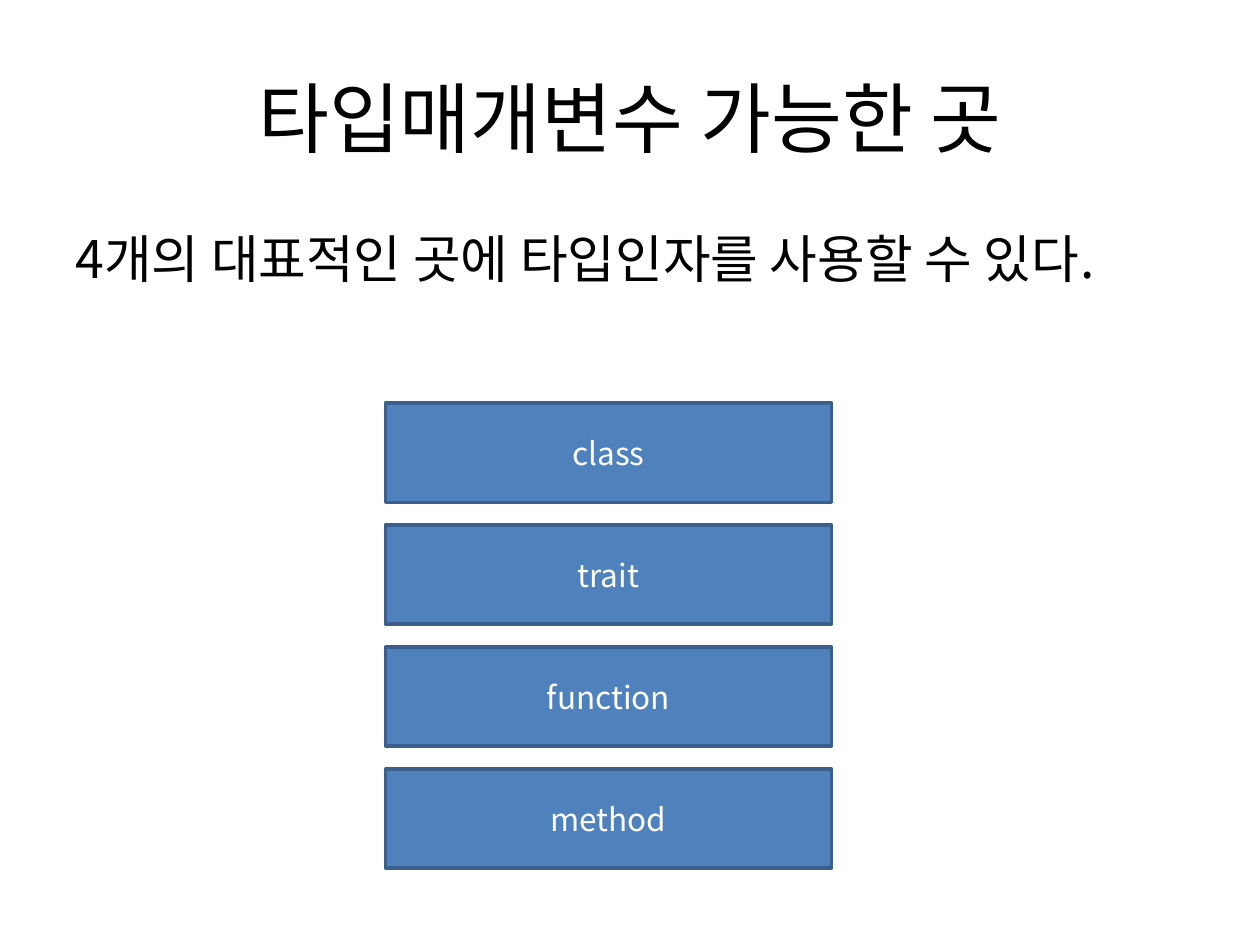
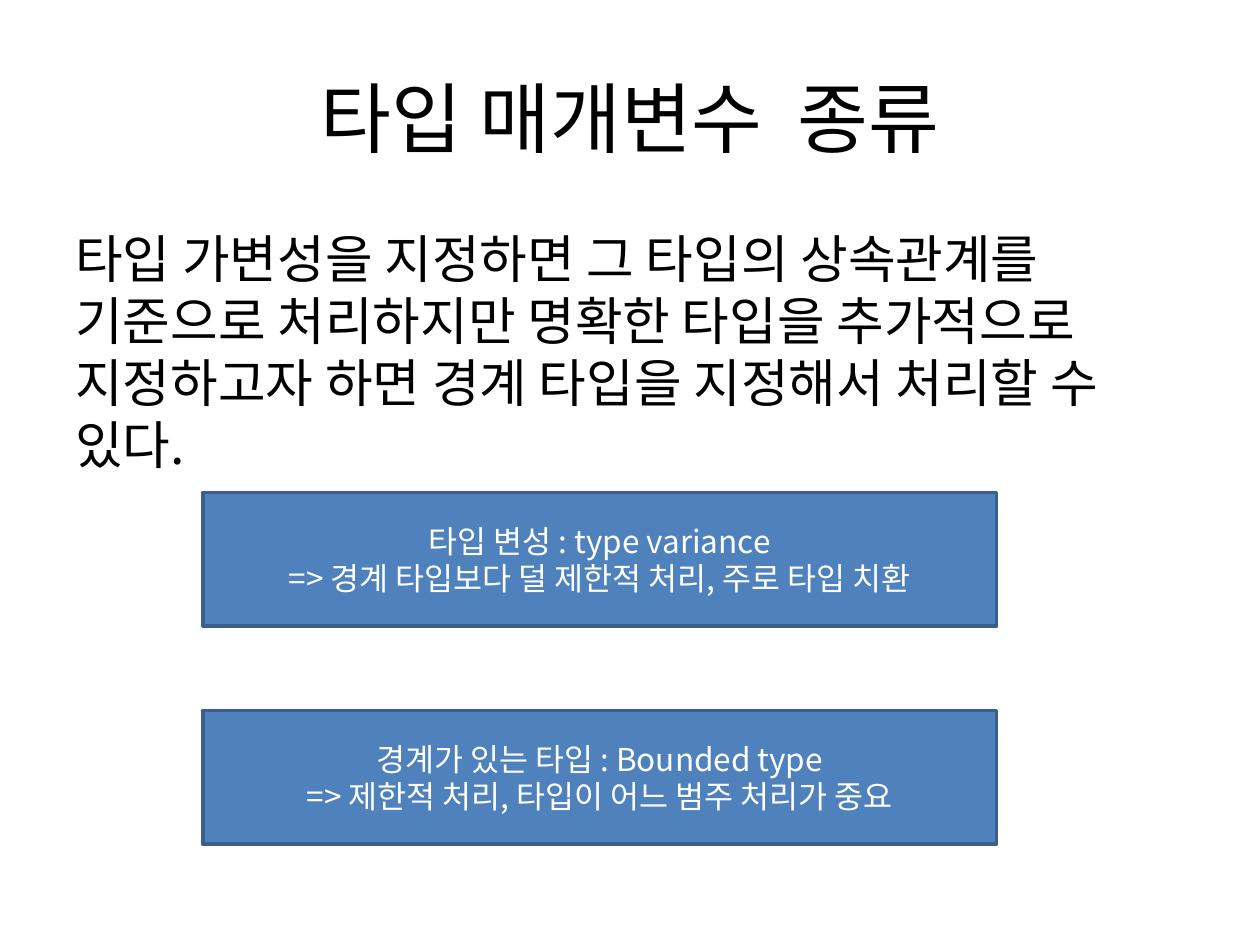
from dataclasses import dataclass

from lxml import etree
from pptx import Presentation
from pptx.dml.color import RGBColor
from pptx.enum.shapes import MSO_SHAPE
from pptx.enum.text import MSO_ANCHOR, PP_ALIGN
from pptx.oxml.ns import qn
from pptx.util import Inches, Pt

RECTANGLE = MSO_SHAPE.RECTANGLE
TOP, MIDDLE = MSO_ANCHOR.TOP, MSO_ANCHOR.MIDDLE
LEFT, CENTER = PP_ALIGN.LEFT, PP_ALIGN.CENTER
TITLE_ONLY = 5
WIDTH, HEIGHT = 10, 7.5


@dataclass(frozen=True)
class Theme:
    """Colours, font and type sizes shared by all slides."""
    font: str = "Noto Sans CJK KR"
    ink: RGBColor = RGBColor(0, 0, 0)
    paper: RGBColor = RGBColor(255, 255, 255)
    fill: RGBColor = RGBColor(0x4F, 0x81, 0xBD)
    edge: RGBColor = RGBColor(0x3A, 0x5F, 0x8C)
    edge_width: float = 2
    title: float = 44
    body: float = 29.6
    label: float = 18


THEME = Theme()
TITLE_BOX = (0.5, 0.3, 9, 1.25)
BODY_LEFT, BODY_TOP, BODY_WIDTH = 0.5, 1.75, 8.83


def set_all(target, values):
    """Set every attribute named in a dict of format values."""
    for name, value in values.items():
        setattr(target, name, value)


def place(shape, box):
    """Move a shape to a box given in inches."""
    names = ("left", "top", "width", "height")
    set_all(shape, dict(zip(names, map(Inches, box))))


def write(shape, lines, size, color, align=CENTER, anchor=MIDDLE, before=0):
    """Write one paragraph per line, with the same font for Latin and Korean."""
    frame = shape.text_frame
    set_all(frame, {"word_wrap": True, "vertical_anchor": anchor})
    frame.text = "\n".join(lines)
    for para in frame.paragraphs:
        set_all(para, {"alignment": align, "space_before": Pt(before)})
        for span in para.runs:
            set_all(span.font, {"name": THEME.font, "size": Pt(size)})
            span.font.color.rgb = color
            latin = span.font._element.find(qn("a:latin"))
            east_asian = etree.Element(qn("a:ea"), typeface=THEME.font)
            latin.addnext(east_asian)


def add_bar(page, box, lines):
    """Draw a blue bar with centred white text."""
    bar = page.shapes.add_shape(RECTANGLE, *map(Inches, box))
    bar.shadow.inherit = False
    bar.fill.solid()
    bar.fill.fore_color.rgb = THEME.fill
    bar.line.color.rgb = THEME.edge
    bar.line.width = Pt(THEME.edge_width)
    write(bar, lines, THEME.label, THEME.paper)


def add_stack(page, box, labels, gap):
    """Fill a box with equal bars, one below the other."""
    left, top, width, height = box
    bar_height = (height - gap * (len(labels) - 1)) / len(labels)
    for row, lines in enumerate(labels):
        bar_top = top + row * (bar_height + gap)
        add_bar(page, (left, bar_top, width, bar_height), lines)


def add_page(deck, title, body, body_height, stack_box, labels, gap):
    """Add a slide with a title, an introduction and a stack of bars."""
    page = deck.slides.add_slide(deck.slide_layouts[TITLE_ONLY])
    heading = page.shapes.title
    place(heading, TITLE_BOX)
    write(heading, [title], THEME.title, THEME.ink)
    body_box = (BODY_LEFT, BODY_TOP, BODY_WIDTH, body_height)
    intro = page.shapes.add_textbox(*map(Inches, body_box))
    write(intro, [body], THEME.body, THEME.ink, LEFT, TOP, THEME.body * 0.2)
    add_stack(page, stack_box, labels, gap)


deck = Presentation()
set_all(deck, {"slide_width": Inches(WIDTH), "slide_height": Inches(HEIGHT)})
add_page(
    deck, "타입매개변수 가능한 곳",
    "4개의 대표적인 곳에 타입인자를 사용할 수 있다.", 1.06,
    (3.06, 3.2, 3.54, 3.69),
    [["class"], ["trait"], ["function"], ["method"]], 0.18)
add_page(
    deck, "타입 매개변수  종류",
    "타입 가변성을 지정하면 그 타입의 상속관계를 기준으로 처리하지만 "
    "명확한 타입을 추가적으로 지정하고자 하면 경계 타입을 지정해서 "
    "처리할 수 있다.", 1.76,
    (1.61, 3.91, 6.3, 2.79),
    [["타입 변성 : type variance",
      "=> 경계 타입보다 덜 제한적 처리, 주로 타입 치환"],
     ["경계가 있는 타입 : Bounded type",
      "=> 제한적 처리, 타입이 어느 범주 처리가 중요"]], 0.67)
deck.save("out.pptx")
